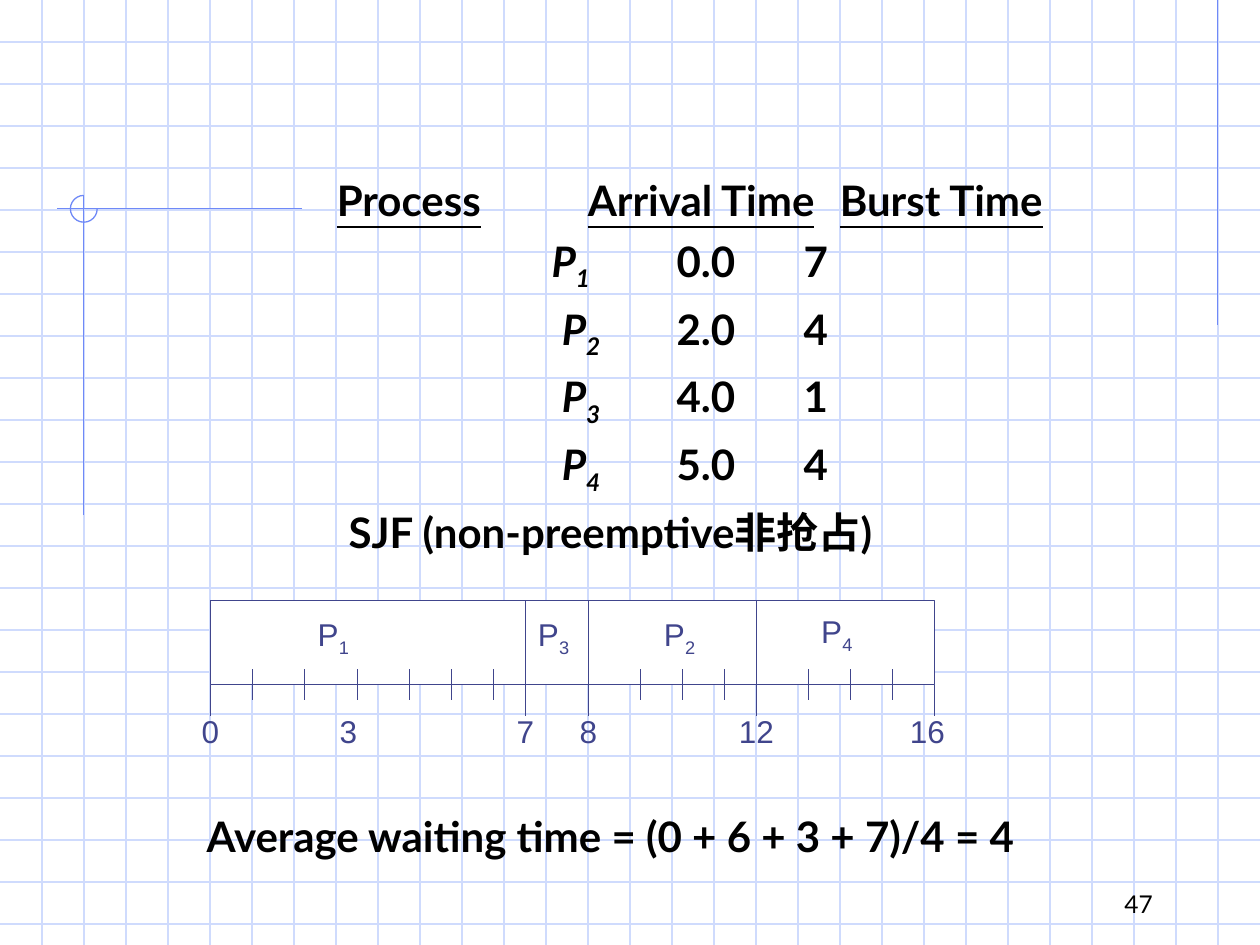
from lxml import etree
from pptx import Presentation
from pptx.dml.color import RGBColor
from pptx.enum.shapes import MSO_CONNECTOR, MSO_SHAPE
from pptx.enum.text import MSO_ANCHOR, PP_ALIGN
from pptx.oxml.ns import qn
from pptx.util import Cm, Pt

STRAIGHT = MSO_CONNECTOR.STRAIGHT
RECT, ARC = MSO_SHAPE.RECTANGLE, MSO_SHAPE.ARC
TOP, MIDDLE, BOTTOM = MSO_ANCHOR.TOP, MSO_ANCHOR.MIDDLE, MSO_ANCHOR.BOTTOM
LEFT, CENTER, RIGHT = PP_ALIGN.LEFT, PP_ALIGN.CENTER, PP_ALIGN.RIGHT

COLORS = {"grid": "CFDBFD", "accent": "6F89F7", "chart": "40458C",
          "text": "000000", "paper": "FFFFFF"}
WIDE, HIGH = 25.4, 19.05
STEP = 2.54 / 3
UNIT = 2.54 / 12
MARKS = [0, 4, 9, 14, 19, 23, 27, 30, 36, 41, 45, 49, 52, 57, 61, 65, 69]
SPLITS = [7, 8, 12]
TIMES = [(0, 0), (3, -0.18), (7, 0), (8, 0), (12, 0), (16, -0.15)]
JOBS = [("1", 2.48, 0), ("3", 6.92, 0), ("2", 9.46, 0), ("4", 12.63, -0.05)]
ROWS = [("1", "0.0", "7"), ("2", "2.0", "4"), ("3", "4.0", "1"), ("4", "5.0", "4")]
HEADS = ["Process", "Arrival Time", "Burst Time"]
HEAD_TABS = [4, 9.06, 14.14]
ROW_TABS = [8.33, 10.85, 13.41]


def color(name):
    return RGBColor.from_string(COLORS[name])


def line(slide, x1, y1, x2, y2, name):
    item = slide.shapes.add_connector(STRAIGHT, Cm(x1), Cm(y1), Cm(x2), Cm(y2))
    item.line.color.rgb = color(name)
    item.line.width = Pt(0.75)
    etree.SubElement(item._element.spPr, qn("a:effectLst"))


def box(slide, x, y, w, h, anchor, wrap):
    frame = slide.shapes.add_textbox(Cm(x), Cm(y), Cm(w), Cm(h)).text_frame
    frame.word_wrap = wrap
    frame.vertical_anchor = anchor
    return frame


def write(para, parts, font, size, name, bold=False):
    for text, style in parts:
        run = para.add_run()
        run.text = text
        run.font.name = font
        run.font.size = Pt(size)
        run.font.color.rgb = color(name)
        run.font.bold = bold
        run.font.italic = "i" in style
        run.font.underline = "u" in style
        if "s" in style:
            run._r.get_or_add_rPr().set("baseline", "-25000")


def label(slide, x, y, w, h, parts):
    para = box(slide, x - w / 2, y, w, h, MIDDLE, False).paragraphs[0]
    para.alignment = CENTER
    write(para, parts, "Arial", 18, "chart")


def grid(slide, w, h):
    for i in range(1, 23):
        line(slide, 0, i * STEP, w, i * STEP, "grid")
    for i in range(1, 30):
        line(slide, i * STEP, 0, i * STEP, h, "grid")


def trim(slide, x, y, w, h):
    line(slide, x + w, 0, x + w, 6.55, "accent")
    line(slide, x + 4.4, y, x - 0.55, y, "accent")
    line(slide, x, y - 0.27, x, y + h, "accent")
    arc = slide.shapes.add_shape(ARC, Cm(x - 0.27), Cm(y - 0.27), Cm(0.54), Cm(0.54))
    arc.shadow.inherit = False
    arc.adjustments[0] = 0
    arc.adjustments[1] = 162
    arc.fill.background()
    arc.line.color.rgb = color("accent")
    arc.line.width = Pt(0.75)


def body(slide, x, y, w, h):
    frame = box(slide, x, y, w, h, TOP, True)
    heads = [part for head in HEADS for part in (("\t", ""), (head, "u"))]
    lines = [(heads, HEAD_TABS, 6)]
    for num, start, burst in ROWS:
        lead = "\t" if num == "1" else "\t "
        parts = [(lead, ""), ("P", "i"), (num, "is"), (f"\t{start}\t{burst}", "")]
        lines.append((parts, ROW_TABS, 6))
    lines.append(([("SJF (non-preemptive非抢占)", "")], [], 6))
    lines.append(([("Average waiting time = (0 + 6 + 3 + 7)/4 = 4", "")], [], 145))
    for i, (parts, stops, gap) in enumerate(lines):
        para = frame.add_paragraph() if i else frame.paragraphs[0]
        para.alignment = LEFT if stops else CENTER
        para.space_before = Pt(gap)
        if stops:
            tabs = etree.SubElement(para._p.get_or_add_pPr(), qn("a:tabLst"))
            for stop in stops:
                etree.SubElement(tabs, qn("a:tab"), pos=str(Cm(stop)), algn="l")
        write(para, parts, "Lato", 24, "text", True)


def gantt(slide, x, y, w, h):
    bar = slide.shapes.add_shape(RECT, Cm(x), Cm(y), Cm(w), Cm(h))
    bar.shadow.inherit = False
    bar.fill.solid()
    bar.fill.fore_color.rgb = color("paper")
    bar.line.color.rgb = color("chart")
    bar.line.width = Pt(0.75)
    base = y + h
    for time, mark in enumerate(MARKS):
        at = x + mark * UNIT
        if time in SPLITS:
            line(slide, at, y, at, base, "chart")
        if time in SPLITS + [0, 16]:
            line(slide, at, base, at, base + 0.63, "chart")
        else:
            line(slide, at, base - 0.31, at, base + 0.32, "chart")
    for num, mid, lift in JOBS:
        label(slide, x + mid, y + 0.16 + lift, 1.14, 1.12, [("P", ""), (num, "s")])
    for time, shift in TIMES:
        wide = 1.22 if time > 9 else 0.86
        label(slide, x + MARKS[time] * UNIT + shift, base + 0.42, wide, 1.02,
              [(str(time), "")])


def foot(slide, x, y, w, h):
    para = box(slide, x, y, w, h, BOTTOM, True).paragraphs[0]
    para.alignment = RIGHT
    write(para, [("47", "")], "Lato", 14, "text")


def main():
    deck = Presentation()
    deck.slide_width, deck.slide_height = Cm(WIDE), Cm(HIGH)
    slide = deck.slides.add_slide(deck.slide_layouts[6])
    grid(slide, WIDE, HIGH)
    trim(slide, 1.69, 4.21, 22.86, 6.18)
    body(slide, 2.54, 3.39, 19.53, 11.43)
    gantt(slide, 4.24, 12.11, 69 * UNIT, 1.69)
    foot(slide, 18.2, 17.36, 5.29, 1.27)
    deck.save("out.pptx")


if __name__ == "__main__":
    main()
